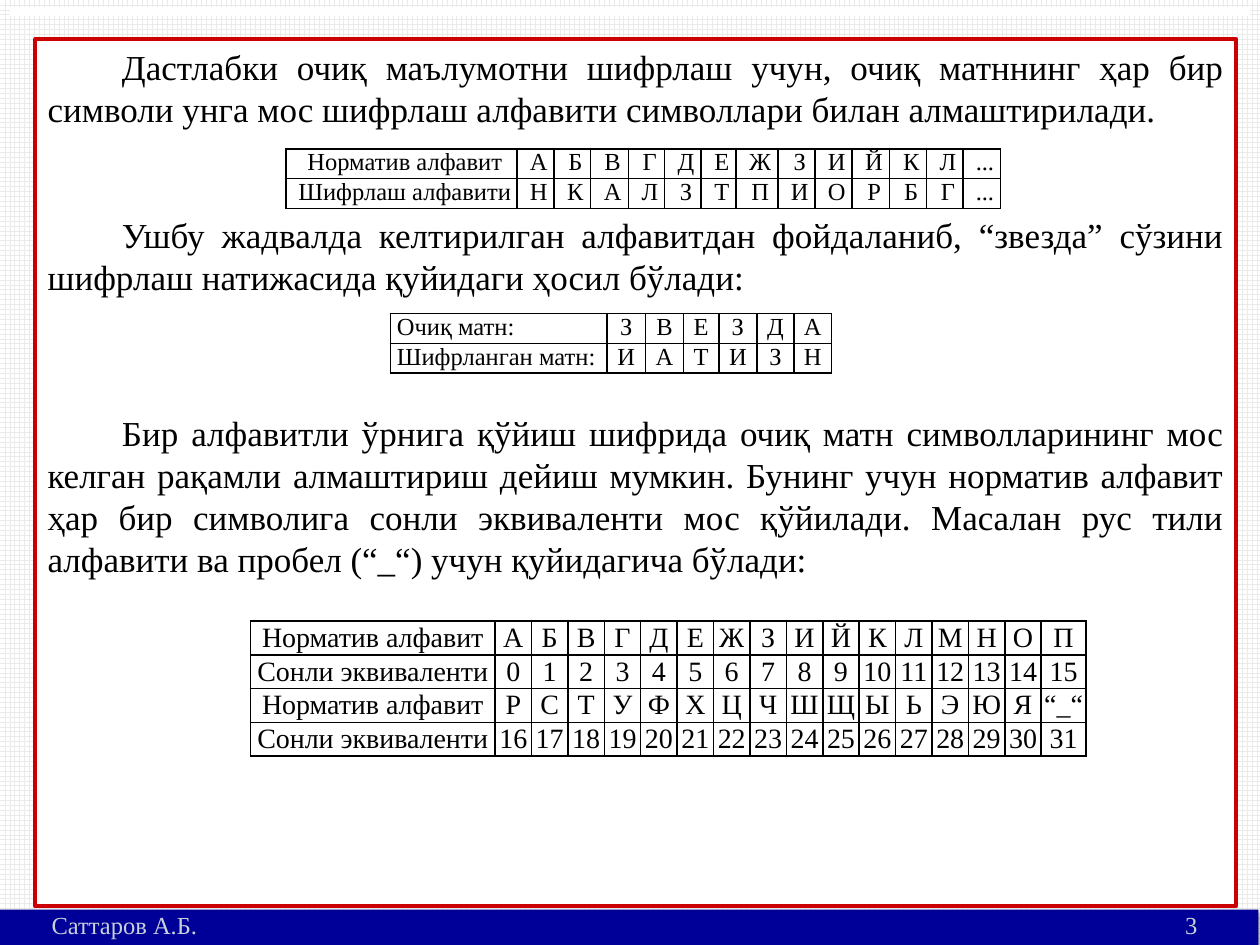
from lxml import etree
from pptx import Presentation
from pptx.dml.color import RGBColor
from pptx.enum import dml, shapes, text
from pptx.oxml import parse_xml
from pptx.oxml.ns import nsdecls, qn
from pptx.util import Cm, Pt

BLACK = RGBColor(0x00, 0x00, 0x00)
WHITE = RGBColor(0xFF, 0xFF, 0xFF)
GRID = RGBColor(0xEA, 0xEA, 0xEA)
RED = RGBColor(0xCC, 0x00, 0x00)
NAVY = RGBColor(0x00, 0x00, 0x99)
PALE = RGBColor(0xC8, 0xD1, 0xDA)
FONT = "Times New Roman"
ALIGN = text.PP_ALIGN
ANCHOR = text.MSO_ANCHOR

BODY = [
    ("Дастлабки очиқ маълумотни шифрлаш учун, очиқ матннинг ҳар бир символи "
     "унга мос шифрлаш алфавити символлари билан алмаштирилади.", 48),
    ("Ушбу жадвалда келтирилган алфавитдан фойдаланиб, “звезда” сўзини "
     "шифрлаш натижасида қуйидаги ҳосил бўлади:", 65),
    ("Бир алфавитли ўрнига қўйиш шифрида очиқ матн символларининг мос келган "
     "рақамли алмаштириш дейиш мумкин. Бунинг учун норматив алфавит ҳар бир "
     "символига сонли эквиваленти мос қўйилади. Масалан рус тили алфавити ва "
     "пробел (“_“) учун қуйидагича бўлади:", 6),
]
NORM, NUM = "Норматив алфавит", "Сонли эквиваленти"
CIPHER = [
    [NORM, *"АБВГДЕЖЗИЙКЛ", "..."],
    ["Шифрлаш алфавити", *"НКАЛЗТПИОРБГ", "..."],
]
WORD = [
    ["Очиқ матн:", *"ЗВЕЗДА"],
    ["Шифрланган матн:", *"ИАТИЗН"],
]
CODES = [
    [NORM, *"АБВГДЕЖЗИЙКЛМНОП"],
    [NUM, *map(str, range(16))],
    [NORM, *"РСТУФХЦЧШЩЫЬЭЮЯ", "“_“"],
    [NUM, *map(str, range(16, 32))],
]


def write(para, words, size=14, color=BLACK, align=ALIGN.CENTER, indent=0,
          after=0, line=None, tab=None):
    """Fill one paragraph; indent and tab are in cm, after and line in points."""
    para.text = words
    props = para._p.get_or_add_pPr()
    if indent:
        props.set("marL", "0")
        props.set("indent", str(Cm(indent)))
    if tab:
        stops = etree.SubElement(props, qn("a:tabLst"))
        etree.SubElement(stops, qn("a:tab"), pos=str(Cm(tab)), algn="r")
    para.alignment = align
    para.space_after = Pt(after)
    if line:
        para.line_spacing = Pt(line)
    for run in para.runs:
        run.font.name, run.font.size = FONT, Pt(size)
        run.font.color.rgb = color


def panel(slide, left, top, width, height, fill, edge=None):
    box = slide.shapes.add_shape(shapes.MSO_SHAPE.RECTANGLE, Cm(left), Cm(top),
                                 Cm(width), Cm(height))
    box.shadow.inherit = False
    box.fill.solid()
    box.fill.fore_color.rgb = fill
    if edge:
        box.line.color.rgb, box.line.width = edge, Pt(2)
    else:
        box.line.fill.background()
    box.text_frame.word_wrap = True
    return box


def border(cell):
    props = cell._tc.get_or_add_tcPr()
    for pos, side in enumerate(("lnL", "lnR", "lnT", "lnB")):
        props.insert(pos, parse_xml(
            f'<a:{side} {nsdecls("a")} w="{Pt(1)}"><a:solidFill>'
            f'<a:srgbClr val="{BLACK}"/></a:solidFill></a:{side}>'))


def grid(slide, rows, left, top, cols, tall, pad, anchor=ANCHOR.TOP,
         first=ALIGN.CENTER, **style):
    """Draw a bordered table; first aligns the label column."""
    frame = slide.shapes.add_table(len(rows), len(cols), Cm(left), Cm(top),
                                   Cm(sum(cols)), Cm(tall * len(rows)))
    table = frame.table
    table.first_row = table.horz_banding = False
    for col, wide in zip(table.columns, cols):
        col.width = Cm(wide)
    for r, row in enumerate(rows):
        table.rows[r].height = Cm(tall)
        for c, words in enumerate(row):
            cell = table.cell(r, c)
            cell.margin_left = cell.margin_right = Cm(pad)
            cell.margin_top = cell.margin_bottom = 0
            cell.vertical_anchor = anchor
            cell.fill.background()
            border(cell)
            write(cell.text_frame.paragraphs[0], words,
                  align=ALIGN.CENTER if c else first, **style)


def body(slide):
    frame = panel(slide, 0.71, 0.79, 24.21, 17.48, WHITE, RED).text_frame
    frame.vertical_anchor = ANCHOR.TOP
    for i, (words, after) in enumerate(BODY):
        para = frame.add_paragraph() if i else frame.paragraphs[0]
        write(para, words, size=20, align=ALIGN.JUSTIFY, indent=1.5,
              after=after, line=24)


def rule(slide):
    line = slide.shapes.add_connector(shapes.MSO_CONNECTOR.STRAIGHT, Cm(0.2),
                                      Cm(0.23), Cm(25.2), Cm(0.23))
    line.line.color.rgb, line.line.width = WHITE, Pt(5)
    etree.SubElement(line._element.spPr, qn("a:effectLst"))


def footer(slide):
    bar = panel(slide, -0.03, 18.34, 25.4, 0.71, NAVY)
    glow = bar._element.spPr.find(qn("a:effectLst"))
    glow.append(parse_xml(
        f'<a:outerShdw {nsdecls("a")} blurRad="{Pt(3.1)}" dist="{Pt(1.8)}" '
        f'dir="5400000" rotWithShape="0"><a:srgbClr val="{BLACK}">'
        '<a:alpha val="35000"/></a:srgbClr></a:outerShdw>'))
    frame = bar.text_frame
    frame.margin_left, frame.margin_top, frame.margin_bottom = Cm(1.07), 0, Cm(0.1)
    frame.vertical_anchor = ANCHOR.MIDDLE
    write(frame.paragraphs[0], "Саттаров А.Б.\t3", color=PALE,
          align=ALIGN.LEFT, tab=23.1)


def main():
    deck = Presentation()
    deck.slide_width, deck.slide_height = Cm(25.4), Cm(19.05)
    slide = deck.slides.add_slide(deck.slide_layouts[6])
    back = slide.background.fill
    back.patterned()
    back.pattern = dml.MSO_PATTERN.LARGE_GRID
    back.fore_color.rgb, back.back_color.rgb = GRID, WHITE

    body(slide)
    rule(slide)
    footer(slide)
    grid(slide, CIPHER, 5.77, 3, [4.65, 0.75, 0.73, 0.77, 0.73, 0.73, 0.71, 0.84,
                                  0.75, 0.75, 0.75, 0.75, 0.73, 0.76],
         tall=0.6, pad=0.05, indent=0.13)
    grid(slide, WORD, 7.87, 6.32, [4.37, 0.77, 0.77, 0.71, 0.77, 0.75, 0.75],
         tall=0.6, pad=0.13, first=ALIGN.LEFT)
    grid(slide, CODES, 5.05, 12.52, [4.93] + [11.02 / 15] * 15 + [0.9],
         tall=0.68, pad=0.04, anchor=ANCHOR.MIDDLE, size=16, indent=-0.05)
    deck.save("out.pptx")


if __name__ == "__main__":
    main()
